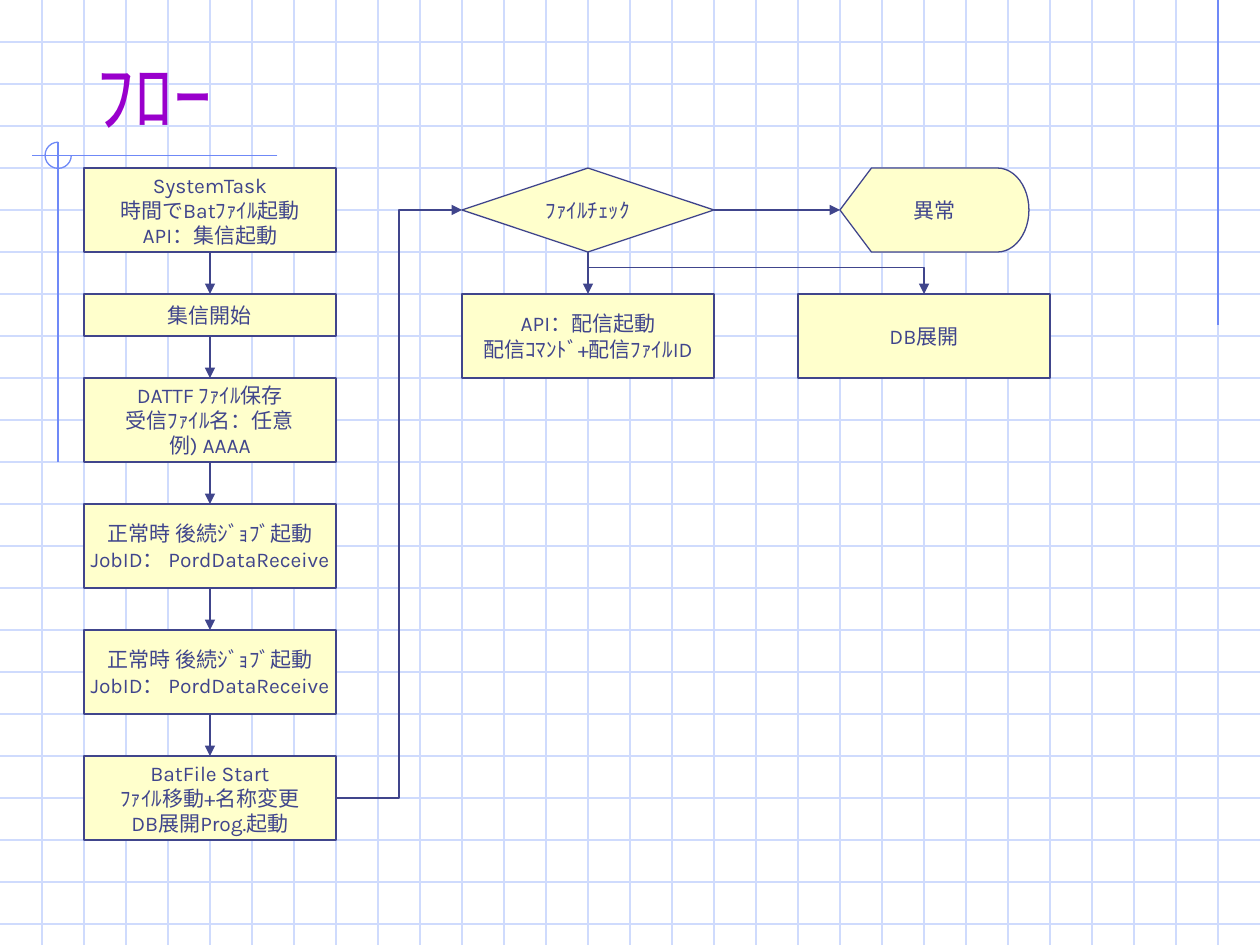
from dataclasses import dataclass

from lxml.etree import SubElement
from pptx import Presentation
from pptx.dml.color import RGBColor
from pptx.enum.shapes import MSO_CONNECTOR, MSO_SHAPE
from pptx.enum.text import MSO_ANCHOR, PP_ALIGN
from pptx.oxml.ns import qn
from pptx.shapes.autoshape import Shape
from pptx.shapes.connector import Connector
from pptx.slide import Slide
from pptx.text.text import TextFrame
from pptx.util import Pt

COLORS = {"grid": "CFDBFD", "accent": "6F89F7", "title": "9900CC",
          "fill": "FFFFCC", "ink": "40458C"}
FONT = "Karla"
WIDTH, HEIGHT, STEP = 720, 540, 24
TOP, LEFT, BOTTOM, RIGHT = range(4)


@dataclass
class Node:
    name: str
    x: float
    y: float
    w: float
    h: float
    lines: tuple[str, ...]
    kind: MSO_SHAPE = MSO_SHAPE.FLOWCHART_PROCESS


@dataclass
class Link:
    start: str
    end: str
    exit: int = BOTTOM
    entry: int = TOP
    bend: float | None = None


JOB = ("正常時 後続ｼﾞｮﾌﾞ起動", "JobID： PordDataReceive")
NODES = [
    Node("task", 48, 96, 144, 48, ("SystemTask", "時間でBatﾌｧｲﾙ起動", "API：集信起動")),
    Node("collect", 48, 168, 144, 24, ("集信開始",)),
    Node("save", 48, 216, 144, 48, ("DATTF ﾌｧｲﾙ保存", "受信ﾌｧｲﾙ名：任意", "例) AAAA")),
    Node("job1", 48, 288, 144, 48, JOB),
    Node("job2", 48, 360, 144, 48, JOB),
    Node("batch", 48, 432, 144, 48, ("BatFile Start", "ﾌｧｲﾙ移動+名称変更", "DB展開Prog.起動")),
    Node("send", 264, 168, 144, 48, ("API：配信起動", "配信ｺﾏﾝﾄﾞ+配信ﾌｧｲﾙID")),
    Node("check", 264, 96, 144, 48, ("ﾌｧｲﾙﾁｪｯｸ",), MSO_SHAPE.FLOWCHART_DECISION),
    Node("load", 456, 168, 144, 48, ("DB展開",)),
    Node("error", 480, 96, 108, 48, ("異常",), MSO_SHAPE.FLOWCHART_DISPLAY),
]
CHAIN = ["task", "collect", "save", "job1", "job2", "batch"]
LINKS = [Link(a, b) for a, b in zip(CHAIN, CHAIN[1:])] + [
    Link("batch", "check", RIGHT, LEFT, 0.5),
    Link("check", "send"),
    Link("check", "load", bend=0.37),
    Link("check", "error", RIGHT, LEFT),
]


def rgb(name: str) -> RGBColor:
    """Return a named colour."""
    return RGBColor.from_string(COLORS[name])


def add_text(tf: TextFrame, lines: tuple[str, ...], size: float, color: str,
             align: PP_ALIGN) -> None:
    """Write one paragraph per line."""
    for i, line in enumerate(lines):
        p = tf.add_paragraph() if i else tf.paragraphs[0]
        p.alignment = align
        r = p.add_run()
        r.text = line
        r.font.name, r.font.size = FONT, Pt(size)
        r.font.color.rgb = rgb(color)


def add_line(s: Slide, x1: float, y1: float, x2: float, y2: float, color: str,
             kind: MSO_CONNECTOR = MSO_CONNECTOR.STRAIGHT) -> Connector:
    """Draw a thin line without a shadow."""
    sp = s.shapes.add_connector(kind, Pt(x1), Pt(y1), Pt(x2), Pt(y2))
    sp.line.color.rgb = rgb(color)
    sp.line.width = Pt(0.75)
    SubElement(sp._element.spPr, qn("a:effectLst"))
    return sp


def add_background(s: Slide) -> None:
    """Draw the grid and the accent lines with their open circle."""
    for y in range(STEP, HEIGHT, STEP):
        add_line(s, 0, y, WIDTH, y, "grid")
    for x in range(STEP, WIDTH, STEP):
        add_line(s, x, 0, x, HEIGHT, "grid")
    cx, cy, radius = 33.25, 88.75, 7.5
    add_line(s, 696, 0, 696, 186, "accent")
    add_line(s, 158.5, cy, 18, cy, "accent")
    add_line(s, cx, cy - radius, cx, 264, "accent")
    sp = s.shapes.add_shape(MSO_SHAPE.ARC, Pt(cx - radius), Pt(cy - radius),
                            Pt(2 * radius), Pt(2 * radius))
    sp.adjustments[0], sp.adjustments[1] = 0, 162
    sp.shadow.inherit = False
    sp.fill.background()
    sp.line.color.rgb = rgb("accent")
    sp.line.width = Pt(0.75)


def add_title(s: Slide, text: str) -> None:
    """Write the slide heading."""
    tf = s.shapes.add_textbox(Pt(48), Pt(24), Pt(612), Pt(60)).text_frame
    tf.word_wrap = True
    tf.vertical_anchor = MSO_ANCHOR.BOTTOM
    add_text(tf, (text,), 44, "title", PP_ALIGN.LEFT)


def add_node(s: Slide, node: Node) -> Shape:
    """Draw one labelled step of the flow."""
    sp = s.shapes.add_shape(node.kind, Pt(node.x), Pt(node.y), Pt(node.w), Pt(node.h))
    sp.shadow.inherit = False
    sp.fill.solid()
    sp.fill.fore_color.rgb = rgb("fill")
    sp.line.color.rgb = rgb("ink")
    sp.line.width = Pt(0.75)
    tf = sp.text_frame
    tf.word_wrap = False
    tf.vertical_anchor = MSO_ANCHOR.MIDDLE
    add_text(tf, node.lines, 12, "ink", PP_ALIGN.CENTER)
    return sp


def turn_upright(sp: Connector) -> None:
    """Turn an elbow so that it leaves its start downwards."""
    cx, cy = sp.left + sp.width // 2, sp.top + sp.height // 2
    sp.width, sp.height = sp.height, sp.width
    sp.left, sp.top = cx - sp.width // 2, cy - sp.height // 2
    xfrm = sp._element.spPr.find(qn("a:xfrm"))
    xfrm.set("rot", "16200000")
    xfrm.set("flipH", "1")


def add_link(s: Slide, link: Link, shapes: dict[str, Shape]) -> None:
    """Join two steps with an arrow."""
    kind = MSO_CONNECTOR.STRAIGHT if link.bend is None else MSO_CONNECTOR.ELBOW
    sp = add_line(s, 0, 0, 0, 0, "ink", kind)
    sp.begin_connect(shapes[link.start], link.exit)
    sp.end_connect(shapes[link.end], link.entry)
    SubElement(sp.line._get_or_add_ln(), qn("a:tailEnd"), type="triangle")
    if link.bend is not None:
        av = sp._element.spPr.find(qn("a:prstGeom")).find(qn("a:avLst"))
        SubElement(av, qn("a:gd"), name="adj1", fmla=f"val {round(link.bend * 100000)}")
        if link.exit == BOTTOM:
            turn_upright(sp)


def main() -> None:
    """Build the flow slide."""
    prs = Presentation()
    prs.slide_width, prs.slide_height = Pt(WIDTH), Pt(HEIGHT)
    s = prs.slides.add_slide(prs.slide_layouts[6])
    add_background(s)
    add_title(s, "ﾌﾛｰ")
    shapes = {node.name: add_node(s, node) for node in NODES}
    for link in LINKS:
        add_link(s, link, shapes)
    prs.save("out.pptx")


if __name__ == "__main__":
    main()
